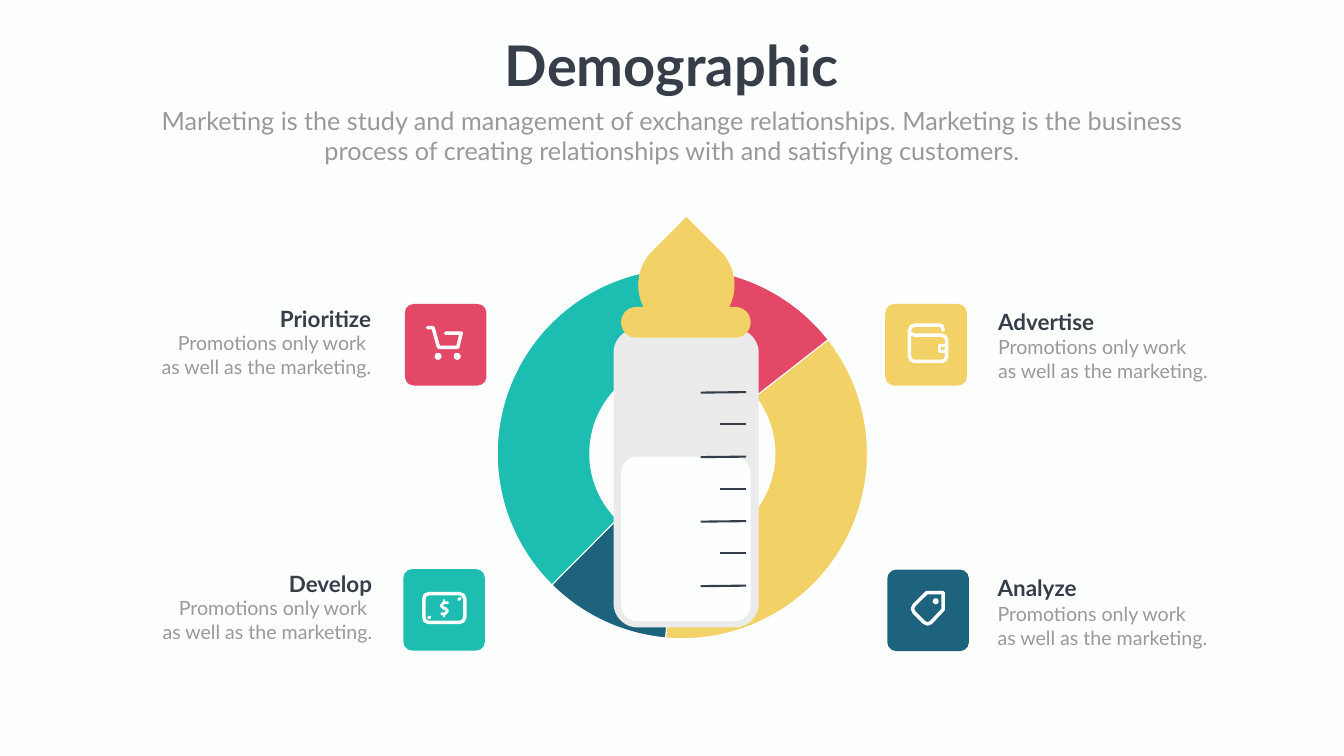
"""Build the Demographic slide: a baby bottle over a doughnut with four callouts."""
from dataclasses import dataclass

from lxml import etree
from pptx import Presentation
from pptx import util as u
from pptx.chart import data
from pptx.dml.color import RGBColor
from pptx.enum import chart, shapes, text
from pptx.oxml.ns import qn

PAPER = RGBColor(0xFD, 0xFF, 0xFE)
WHITE = RGBColor(0xFF, 0xFF, 0xFF)
INK = RGBColor(0x35, 0x3E, 0x49)
GREY = RGBColor(0x98, 0x99, 0x98)
GLASS = RGBColor(0xEA, 0xEB, 0xEA)
YELLOW = RGBColor(0xF2, 0xD2, 0x67)
BLUE = RGBColor(0x1D, 0x63, 0x7D)
TEAL = RGBColor(0x1E, 0xBD, 0xB2)
RED = RGBColor(0xE3, 0x48, 0x66)

SHAPE = shapes.MSO_SHAPE
LEFT, CENTER, RIGHT = text.PP_ALIGN.LEFT, text.PP_ALIGN.CENTER, text.PP_ALIGN.RIGHT
TILE = 1.62


@dataclass(frozen=True)
class Side:
    align: text.PP_ALIGN
    label_width: float
    body_width: float
    body_height: float
    first_line: str


@dataclass(frozen=True)
class Callout:
    label: str
    color: RGBColor
    tile: tuple[float, float]
    edge: float
    label_top: float
    body_top: float
    side: Side


@dataclass(frozen=True)
class Stroke:
    points: list[tuple[float, float]]
    width: float = 5
    closed: bool = False


@dataclass(frozen=True)
class Solid:
    kind: SHAPE
    box: tuple[float, float, float, float]
    color: RGBColor
    radius: float = 0
    rotation: float = 0


ON_LEFT = Side(RIGHT, 3.02, 5.37, 1.51, "Promotions only work ")
ON_RIGHT = Side(LEFT, 2.73, 4.86, 1.99, "Promotions only work")
SECOND_LINE = "as well as the marketing."

CALLOUTS = [
    Callout("Prioritize", RED, (8.03, 6.03), 7.46, 6.01, 6.52, ON_LEFT),
    Callout("Develop", TEAL, (8, 11.29), 7.48, 11.26, 11.78, ON_LEFT),
    Callout("Analyze", BLUE, (17.6, 11.3), 19.69, 11.35, 11.9, ON_RIGHT),
    Callout("Advertise", YELLOW, (17.56, 6.03), 19.7, 6.06, 6.6, ON_RIGHT),
]

CART = Stroke([(8.48, 6.5), (8.59, 6.5), (8.7, 6.89), (9.08, 6.89), (9.15, 6.61), (8.84, 6.61)])
TAG = Stroke([(18.38, 11.76), (18.71, 11.76), (18.71, 12.09), (18.47, 12.35), (18.4, 12.38),
              (18.33, 12.35), (18.13, 12.15), (18.1, 12.08), (18.13, 12.01)], closed=True)
NOTE = Stroke([(8.5, 11.78), (9.12, 11.78), (9.19, 11.81), (9.22, 11.88), (9.22, 12.25),
               (9.19, 12.32), (9.12, 12.35), (8.5, 12.35), (8.43, 12.32), (8.41, 12.25),
               (8.41, 11.88), (8.43, 11.81)], closed=True)
DOLLAR = Stroke([(8.88, 11.96), (8.8, 11.96), (8.75, 12.02), (8.8, 12.07), (8.83, 12.07),
                 (8.88, 12.12), (8.83, 12.18), (8.76, 12.18)], 4)
DOLLAR_BARS = [Stroke([(8.81, 11.91), (8.81, 11.94)], 3.5), Stroke([(8.81, 12.19), (8.81, 12.23)], 3.5)]
NOTE_CORNERS = [Stroke([(9.1, 11.9), (9.13, 11.87)], 4), Stroke([(8.5, 12.26), (8.53, 12.24)], 4)]
WALLET = Stroke([(18.71, 6.55), (18.69, 6.47), (18.63, 6.45), (18.15, 6.45), (18.07, 6.48),
                 (18.04, 6.56), (18.04, 7.07), (18.07, 7.14), (18.14, 7.17), (18.68, 7.17),
                 (18.75, 7.14), (18.78, 7.07), (18.78, 6.74), (18.75, 6.68), (18.68, 6.65),
                 (18.14, 6.65), (18.07, 6.62)])
CLASP = Stroke([(18.63, 6.85), (18.77, 6.85), (18.77, 6.98), (18.63, 6.98)], 4, True)
STROKES = [CART, TAG, NOTE, DOLLAR, *DOLLAR_BARS, *NOTE_CORNERS, WALLET, CLASP]
DOTS = [
    Solid(SHAPE.OVAL, (8.62, 7, 0.14, 0.14), WHITE),
    Solid(SHAPE.OVAL, (9, 7, 0.14, 0.14), WHITE),
    Solid(SHAPE.OVAL, (18.5, 11.87, 0.12, 0.12), WHITE),
]
BOTTLE = [
    Solid(SHAPE.ROUNDED_RECTANGLE, (12.17, 6.52, 2.88, 5.93), GLASS, 0.48),
    Solid(SHAPE.ROUNDED_RECTANGLE, (12.32, 9.06, 2.57, 3.27), PAPER, 0.33),
]
CAP = [
    Solid(SHAPE.TEAR, (12.66, 4.7, 1.91, 1.91), YELLOW, rotation=315),
    Solid(SHAPE.ROUNDED_RECTANGLE, (12.32, 6.09, 2.57, 0.61), YELLOW, 0.3),
]


def add_solid(s, solid: Solid) -> None:
    sp = s.shapes.add_shape(solid.kind, *map(u.Inches, solid.box))
    sp.shadow.inherit = False
    sp.fill.solid()
    sp.fill.fore_color.rgb = solid.color
    sp.line.fill.background()
    sp.rotation = solid.rotation
    if solid.radius:
        sp.adjustments[0] = solid.radius / min(solid.box[2:])


def add_stroke(s, stroke: Stroke) -> None:
    points = [(u.Inches(x), u.Inches(y)) for x, y in stroke.points]
    fb = s.shapes.build_freeform(*points[0])
    fb.add_line_segments(points[1:], close=stroke.closed)
    sp = fb.convert_to_shape()
    sp.shadow.inherit = False
    sp.fill.background()
    sp.line.color.rgb = WHITE
    sp.line.width = u.Pt(stroke.width)
    ln = sp._element.spPr.find(qn("a:ln"))
    ln.set("cap", "rnd")
    etree.SubElement(ln, qn("a:round"))


def add_text(s, box: tuple[float, float, float, float], lines: list[str], size: float,
             color: RGBColor, align: text.PP_ALIGN, bold: bool = False, wrap: bool = True) -> None:
    tf = s.shapes.add_textbox(*map(u.Inches, box)).text_frame
    tf.word_wrap = wrap
    for i, line in enumerate(lines):
        p = tf.add_paragraph() if i else tf.paragraphs[0]
        p.text = line
        p.alignment = align
        p.font.name, p.font.size, p.font.bold = "Lato", u.Pt(size), bold
        p.font.color.rgb = color


def add_callout_text(s, callout: Callout) -> None:
    side = callout.side
    shift = 1 if side.align == RIGHT else 0
    add_text(s, (callout.edge - shift * side.label_width, callout.label_top, side.label_width, 0.64),
             [callout.label], 32, INK, side.align, bold=True)
    add_text(s, (callout.edge - shift * side.body_width, callout.body_top, side.body_width, side.body_height),
             [side.first_line, SECOND_LINE], 28, GREY, side.align)


def add_doughnut(s) -> None:
    cd = data.CategoryChartData()
    cd.categories = ["1", "2", "3", "4"]
    cd.add_series("Series 1", (37, 11, 41, 11))
    box = map(u.Inches, (7.82, 5.19, 11.43, 7.62))
    ch = s.shapes.add_chart(chart.XL_CHART_TYPE.DOUGHNUT, *box, cd).chart
    ch.has_legend = ch.has_title = False
    ch.font.name, ch.font.size = "Calibri", u.Pt(10)
    ch.font.color.rgb = GREY
    plot = ch.plots[0]
    plot.vary_by_categories = True
    for i, color in enumerate((YELLOW, BLUE, TEAL, RED)):
        fmt = plot.series[0].points[i].format
        fmt.fill.solid()
        fmt.fill.fore_color.rgb = color
        fmt.line.color.rgb = PAPER
        fmt.line.width = u.Pt(1.5)
    for tag, value in (("c:firstSliceAng", "52"), ("c:holeSize", "75")):
        ch._chartSpace.find(".//" + qn(tag)).set("val", value)


def add_tick(s, left: float, y: float, drop: float) -> None:
    ends = map(u.Inches, (14.8, y, left, y + drop))
    cn = s.shapes.add_connector(shapes.MSO_CONNECTOR.STRAIGHT, *ends)
    cn.line.color.rgb = INK
    cn.line.width = u.Pt(3)
    etree.SubElement(cn._element.spPr, qn("a:effectLst"))


def main() -> None:
    prs = Presentation()
    prs.slide_width, prs.slide_height = u.Inches(26.66), u.Inches(15)
    s = prs.slides.add_slide(prs.slide_layouts[6])
    s.background.fill.solid()
    s.background.fill.fore_color.rgb = PAPER
    add_text(s, (9.85, 0.55, 6.96, 1.45), ["Demographic"], 80, INK, CENTER, bold=True, wrap=False)
    add_text(s, (2.92, 2.04, 20.82, 1.31),
             ["Marketing is the study and management of exchange relationships. Marketing is the "
              "business process of creating relationships with and satisfying customers."], 36, GREY, CENTER)
    add_doughnut(s)
    tiles = [Solid(SHAPE.ROUNDED_RECTANGLE, (*c.tile, TILE, TILE), c.color, 0.18) for c in CALLOUTS]
    for solid in tiles + DOTS:
        add_solid(s, solid)
    for stroke in STROKES:
        add_stroke(s, stroke)
    for callout in CALLOUTS:
        add_callout_text(s, callout)
    for solid in BOTTLE:
        add_solid(s, solid)
    for i in range(7):
        left, drop = (14.29, 0) if i % 2 else (13.9, 0.01)
        add_tick(s, left, 7.78 + 0.64 * i, drop)
    for solid in CAP:
        add_solid(s, solid)
    prs.save("out.pptx")


if __name__ == "__main__":
    main()
